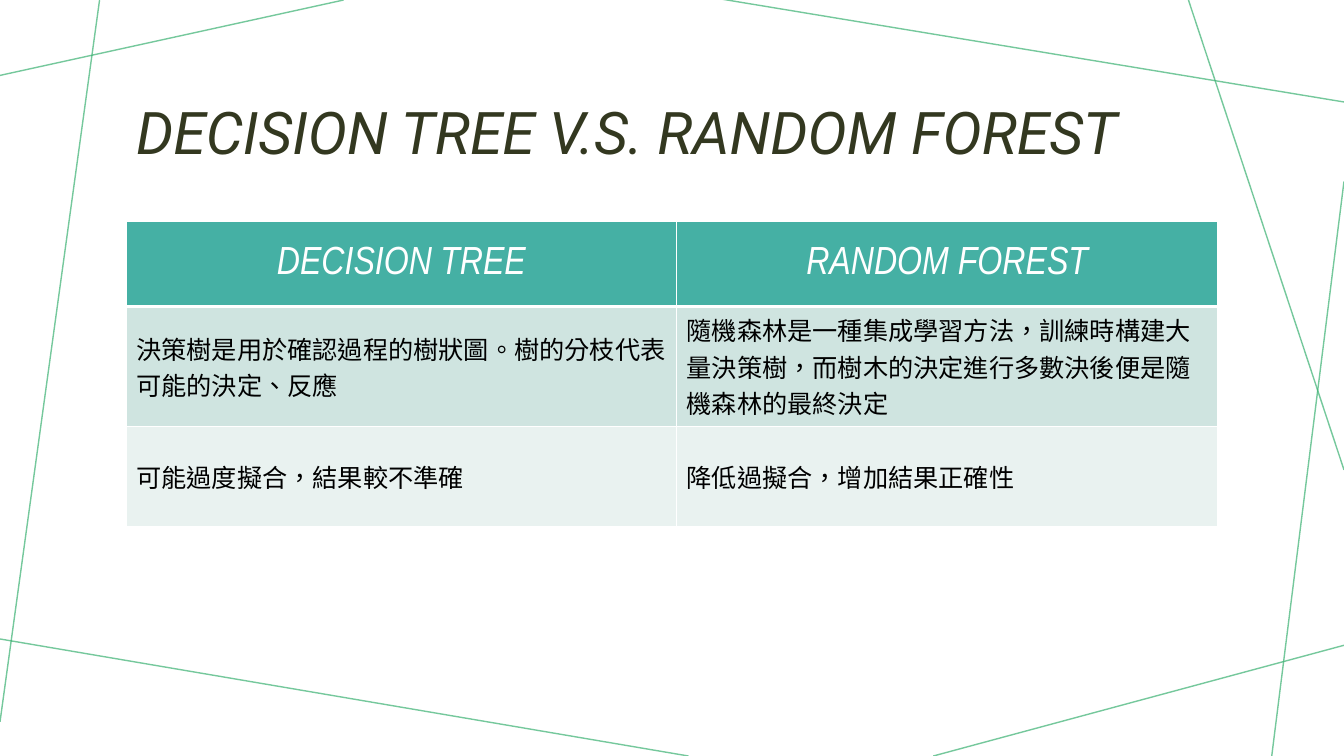
from lxml import etree
from pptx import Presentation
from pptx import util as u
from pptx.dml.color import RGBColor
from pptx.enum import shapes, text
from pptx.oxml.ns import qn

TITLE = "DECISION TREE V.S. RANDOM FOREST"
ROWS = [
    ("DECISION TREE", "RANDOM FOREST"),
    ("決策樹是用於確認過程的樹狀圖。樹的分枝代表可能的決定、反應",
     "隨機森林是一種集成學習方法，訓練時構建大量決策樹，而樹木的決定進行多數決後便是隨機森林的最終決定"),
    ("可能過度擬合，結果較不準確", "降低過擬合，增加結果正確性"),
]
SLIDE_W, SLIDE_H = 33.87, 19.05
RAYS = [
    (8.66, 0, 0, 1.9),
    (2.51, 0, 0, 18.19),
    (17.35, SLIDE_H, -0.13, 16.08),
    (SLIDE_W, 16.26, 23.52, SLIDE_H),
    (SLIDE_W, 4.57, 32.05, SLIDE_H),
    (SLIDE_W, 11.84, 29.95, 0),
    (SLIDE_W, 2.57, 18.14, -0.03),
]
TITLE_BOX = (3.18, 1.5, 28.42, 3.84)
TABLE_LEFT, TABLE_TOP = 3.18, 5.59
COL_WIDTHS = (13.87, 13.64)
ROW_HEIGHTS = (2.13, 3.02, 2.54)
THEME = {
    "ray": "3BB172", "title": "333820", "head": "FFFFFF", "body": "000000",
    "border": "FFFFFF", "fills": ("45B0A4", "CFE4E0", "E9F2F0"),
    "title_font": "Roboto", "table_font": "Arial Narrow",
    "title_size": 42, "head_size": 28, "body_size": 18,
}


def rgb(name):
    return RGBColor.from_string(THEME[name])


def add_run(p, words, font, size, color, italic, lang="en-US"):
    r = p.add_run()
    r.text = words
    r.font.name = font
    r.font.size = u.Pt(size)
    r.font.italic = italic
    r.font.bold = False
    r.font.color.rgb = rgb(color)
    r._r.get_or_add_rPr().set("lang", lang)


def add_ray(s, ends):
    ray = s.shapes.add_connector(shapes.MSO_CONNECTOR.STRAIGHT, *map(u.Cm, ends))
    ray.line.width = u.Pt(1)
    ray.line.color.rgb = rgb("ray")
    color = next(ray.line._get_or_add_ln().iter(qn("a:srgbClr")))
    etree.SubElement(color, qn("a:alpha"), val="70000")
    etree.SubElement(ray._element.spPr, qn("a:effectLst"))


def add_border(cell, side, points):
    ln = etree.SubElement(cell._tc.get_or_add_tcPr(), qn("a:ln" + side), w=str(u.Pt(points)))
    fill = etree.SubElement(ln, qn("a:solidFill"))
    etree.SubElement(fill, qn("a:srgbClr"), val=THEME["border"])


def fill_cell(cell, words, row):
    head = row == 0
    for side in "LRTB":
        thick = (head and side == "B") or (row == 1 and side == "T")
        add_border(cell, side, 3 if thick else 1)
    cell.fill.solid()
    cell.fill.fore_color.rgb = RGBColor.from_string(THEME["fills"][row])
    cell.vertical_anchor = text.MSO_ANCHOR.MIDDLE
    p = cell.text_frame.paragraphs[0]
    p.alignment = text.PP_ALIGN.CENTER if head else text.PP_ALIGN.LEFT
    kind, lang = ("head", "en-US") if head else ("body", "zh-TW")
    add_run(p, words, THEME["table_font"], THEME[kind + "_size"], kind, head, lang)


def main():
    prs = Presentation()
    prs.slide_width, prs.slide_height = u.Cm(SLIDE_W), u.Cm(SLIDE_H)
    s = prs.slides.add_slide(prs.slide_layouts[6])

    for ends in RAYS:
        add_ray(s, ends)

    tf = s.shapes.add_textbox(*map(u.Cm, TITLE_BOX)).text_frame
    tf.word_wrap = True
    tf.vertical_anchor = text.MSO_ANCHOR.MIDDLE
    p = tf.paragraphs[0]
    p.line_spacing = 0.9
    add_run(p, TITLE, THEME["title_font"], THEME["title_size"], "title", True)

    bounds = (TABLE_LEFT, TABLE_TOP, sum(COL_WIDTHS), sum(ROW_HEIGHTS))
    table = s.shapes.add_table(len(ROWS), len(COL_WIDTHS), *map(u.Cm, bounds)).table
    for column, width in zip(table.columns, COL_WIDTHS):
        column.width = u.Cm(width)
    for i, (height, row) in enumerate(zip(ROW_HEIGHTS, ROWS)):
        table.rows[i].height = u.Cm(height)
        for j, words in enumerate(row):
            fill_cell(table.cell(i, j), words, i)

    prs.save("out.pptx")


if __name__ == "__main__":
    main()
